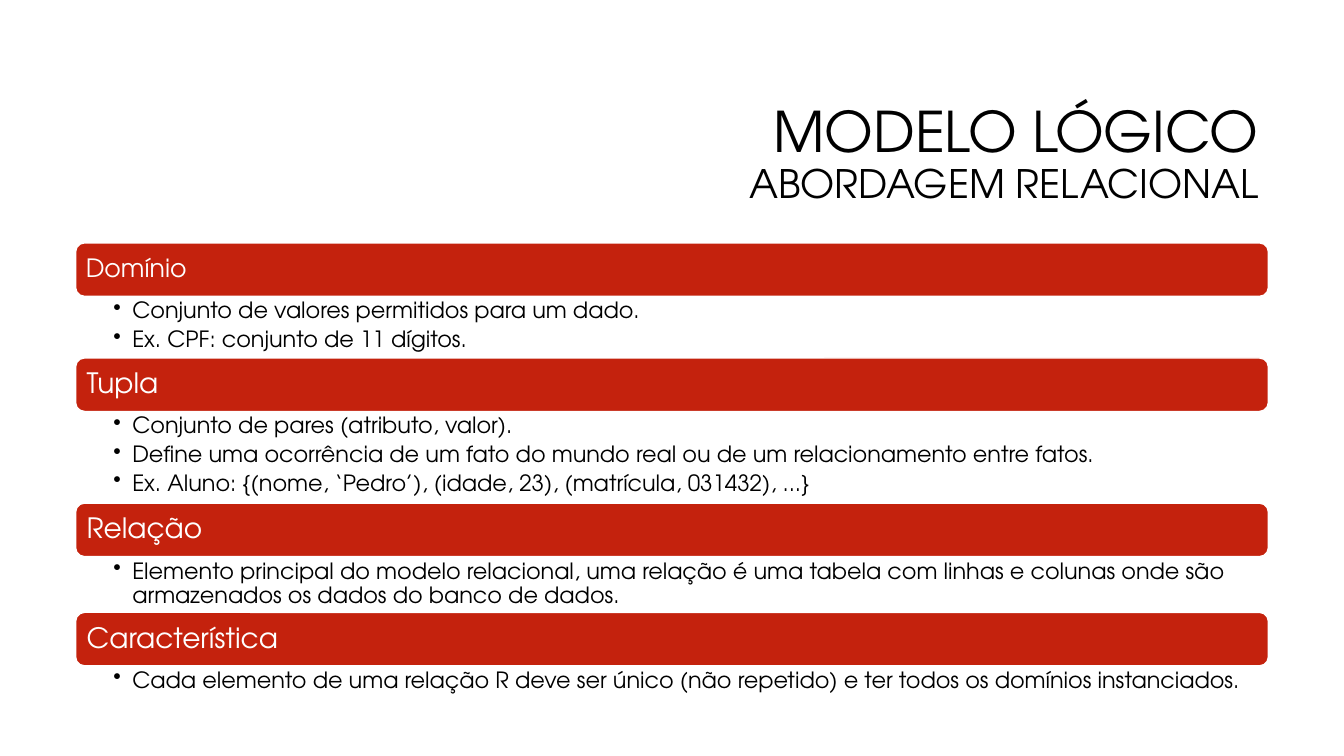
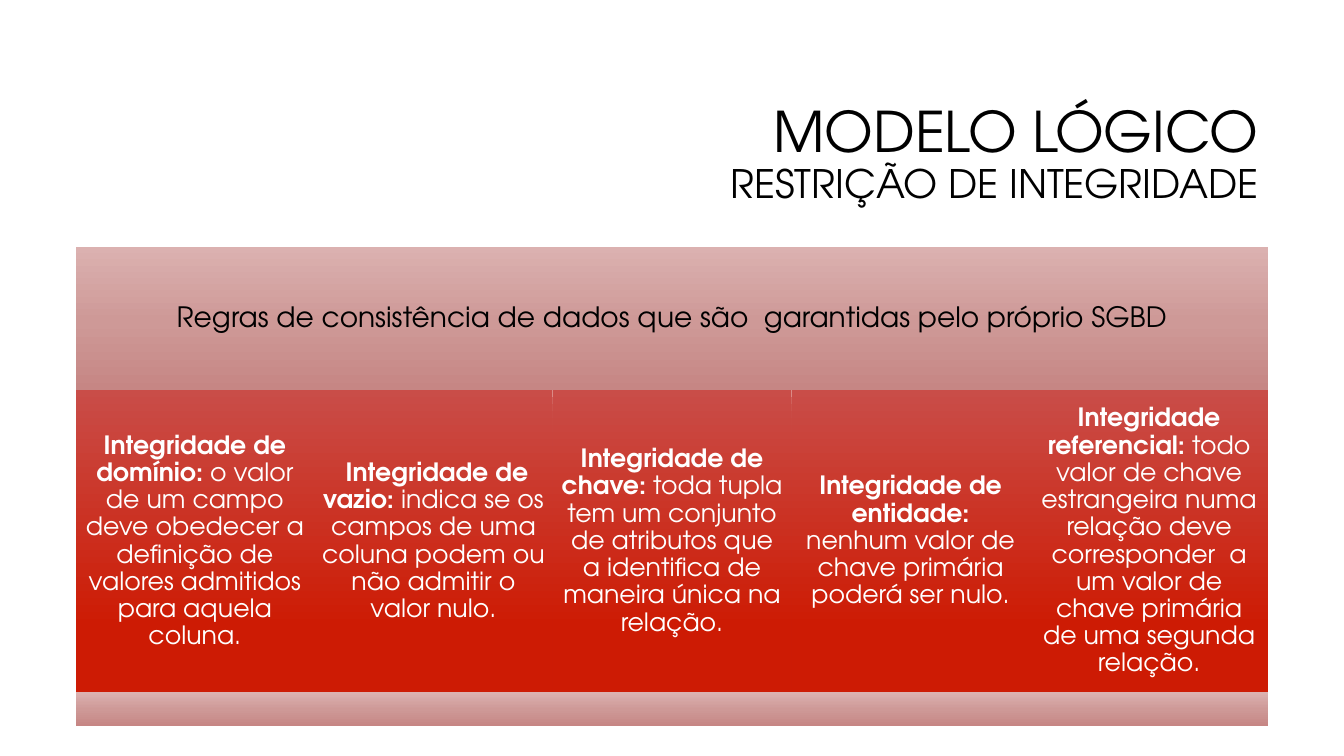
from copy import deepcopy

from lxml import etree
from pptx import Presentation
from pptx.dml.color import RGBColor
from pptx.enum import shapes, text
from pptx.oxml.ns import qn
from pptx.util import Pt

FONT = "TeX Gyre Adventor"
COLORS = {
    "ink": "000000", "paper": "FFFFFF", "bar": "C4220D",
    "band_top": "DBB1B0", "band_middle": "CE9997", "band_end": "C68684",
    "card_top": "C94D48", "card_end": "CD1B04",
}
BAND_STOPS = [(0, "band_top"), (0.52, "band_middle"), (1, "band_end")]
CARD_STOPS = [(0, "card_top"), (0.78, "card_end")]
LEFT, WIDTH = 54, 852
TITLE_BOX = (228, 60.5, 678, 101.5)
BAR_HEIGHT = 38.2

SECTIONS = [
    ("Domínio", 18, 44, [
        "Conjunto de valores permitidos para um dado.",
        "Ex. CPF: conjunto de 11 dígitos."]),
    ("Tupla", 20, 65.5, [
        "Conjunto de pares (atributo, valor).",
        "Define uma ocorrência de um fato do mundo real ou de um "
        "relacionamento entre fatos.",
        "Ex. Aluno: {(nome, ‘Pedro’), (idade, 23), (matrícula, 031432), ...}"]),
    ("Relação", 20, 39.8, [
        "Elemento principal do modelo relacional, uma relação é uma tabela com "
        "linhas e colunas onde são armazenados os dados do banco de dados."]),
    ("Característica", 20, 26, [
        "Cada elemento de uma relação R deve ser único (não repetido) e ter "
        "todos os domínios instanciados."]),
]
RULE = "Regras de consistência de dados que são  garantidas pelo próprio SGBD"
CONSTRAINTS = [
    ("Integridade de domínio: ",
     "o valor de um campo deve obedecer a definição de valores admitidos "
     "para aquela coluna."),
    (" Integridade de vazio: ",
     "indica se os campos de uma coluna podem ou não admitir o valor nulo."),
    ("Integridade de chave: ",
     "toda tupla tem um conjunto de atributos que a identifica de maneira "
     "única na relação."),
    ("Integridade de entidade:",
     " nenhum valor de chave primária poderá ser nulo."),
    ("Integridade referencial: ",
     "todo valor de chave estrangeira numa relação deve corresponder  a um "
     "valor de chave primária de uma segunda relação."),
]


def rgb(name):
    return RGBColor.from_string(COLORS[name])


def add_span(para, words, size, color, bold=False):
    span = para.add_run()
    span.text = words
    span.font.name = FONT
    span.font.size = Pt(size)
    span.font.bold = bold
    span.font.color.rgb = rgb(color)


def format_para(para, align, after=0):
    para.alignment = align
    para.line_spacing = 0.9
    para.space_after = Pt(after)


def set_frame(frame, anchor, insets):
    frame.word_wrap = True
    frame.auto_size = text.MSO_AUTO_SIZE.NONE
    frame.vertical_anchor = anchor
    (frame.margin_left, frame.margin_top,
     frame.margin_right, frame.margin_bottom) = map(Pt, insets)


def add_block(page, kind, box):
    block = page.shapes.add_shape(kind, *map(Pt, box))
    block.shadow.inherit = False
    block.line.fill.background()
    return block


def fill_gradient(block, stops):
    """Fill from top to bottom with any number of (position, colour) stops."""
    block.fill.gradient()
    block.fill.gradient_angle = 270
    stop_list = block._element.spPr.find(".//" + qn("a:gsLst"))
    while len(stop_list) < len(stops):
        stop_list.append(deepcopy(stop_list[-1]))
    for stop, (position, color) in zip(block.fill.gradient_stops, stops):
        stop.position = position
        stop.color.rgb = rgb(color)


def write_label(block, spans, size, color, align):
    """Write (words, bold) spans as one vertically centred paragraph."""
    set_frame(block.text_frame, text.MSO_ANCHOR.MIDDLE, [0.3 * size] * 4)
    para = block.text_frame.paragraphs[0]
    format_para(para, align, 0.35 * size)
    for words, bold in spans:
        add_span(para, words, size, color, bold)


def add_page(deck, subtitle):
    page = deck.slides.add_slide(deck.slide_layouts.get_by_name("Title Only"))
    title = page.shapes.title
    title.left, title.top, title.width, title.height = map(Pt, TITLE_BOX)
    set_frame(title.text_frame, text.MSO_ANCHOR.MIDDLE, (7.2, 3.6, 7.2, 3.6))
    para = title.text_frame.paragraphs[0]
    format_para(para, text.PP_ALIGN.RIGHT)
    add_span(para, "MODELO LÓGICO", 40, "ink")
    para.add_line_break()
    add_span(para, subtitle, 28, "ink")
    return page


def add_bullets(page, box, items, size=16):
    frame = page.shapes.add_textbox(*map(Pt, box)).text_frame
    set_frame(frame, text.MSO_ANCHOR.TOP, (27, 2.2, 11.5, 2.2))
    for index, item in enumerate(items):
        para = frame.add_paragraph() if index else frame.paragraphs[0]
        properties = para._p.get_or_add_pPr()
        properties.set("marL", str(Pt(13.5)))
        properties.set("indent", str(Pt(-13.5)))
        etree.SubElement(properties, qn("a:buChar")).set("char", "•")
        format_para(para, text.PP_ALIGN.LEFT, 0.2 * size)
        add_span(para, item, size, "ink")


def add_section(page, box, heading, size, items):
    """Place a red heading bar with its bullet list below it."""
    left, top, width, height = box
    bar = add_block(page, shapes.MSO_SHAPE.ROUNDED_RECTANGLE,
                    (left, top, width, BAR_HEIGHT))
    bar.fill.solid()
    bar.fill.fore_color.rgb = rgb("bar")
    bar.line.color.rgb = rgb("paper")
    bar.line.width = Pt(1)
    write_label(bar, [(heading, False)], size, "paper", text.PP_ALIGN.LEFT)
    add_bullets(page, (left, top + BAR_HEIGHT, width, height - BAR_HEIGHT), items)


def add_panel(page, box, stops, spans=(), size=18, color="paper"):
    panel = add_block(page, shapes.MSO_SHAPE.RECTANGLE, box)
    fill_gradient(panel, stops)
    if spans:
        write_label(panel, spans, size, color, text.PP_ALIGN.CENTER)


def add_constraint_board(page, box, header=102.5, footer=24):
    """Place the rule on top, a row of cards below it and a closing band."""
    left, top, width, height = box
    card_width = width / len(CONSTRAINTS)
    card_height = height - header - footer
    add_panel(page, (left, top, width, header), BAND_STOPS,
              [(RULE, False)], 20, "ink")
    for index, (name, meaning) in enumerate(CONSTRAINTS):
        card = (left + index * card_width, top + header, card_width, card_height)
        add_panel(page, card, CARD_STOPS, [(name, True), (meaning, False)])
    add_panel(page, (left, top + height - footer, width, footer), BAND_STOPS)


def build_relational_page(deck):
    page = add_page(deck, "ABORDAGEM RELACIONAL")
    top = 173.5
    for heading, size, list_height, items in SECTIONS:
        height = BAR_HEIGHT + list_height
        add_section(page, (LEFT, top, WIDTH, height), heading, size, items)
        top += height


def build_integrity_page(deck):
    page = add_page(deck, "RESTRIÇÃO DE INTEGRIDADE")
    add_constraint_board(page, (LEFT, 176.4, WIDTH, 342))


def main():
    deck = Presentation()
    deck.slide_width, deck.slide_height = Pt(960), Pt(540)
    build_relational_page(deck)
    build_integrity_page(deck)
    deck.save("out.pptx")


if __name__ == "__main__":
    main()
